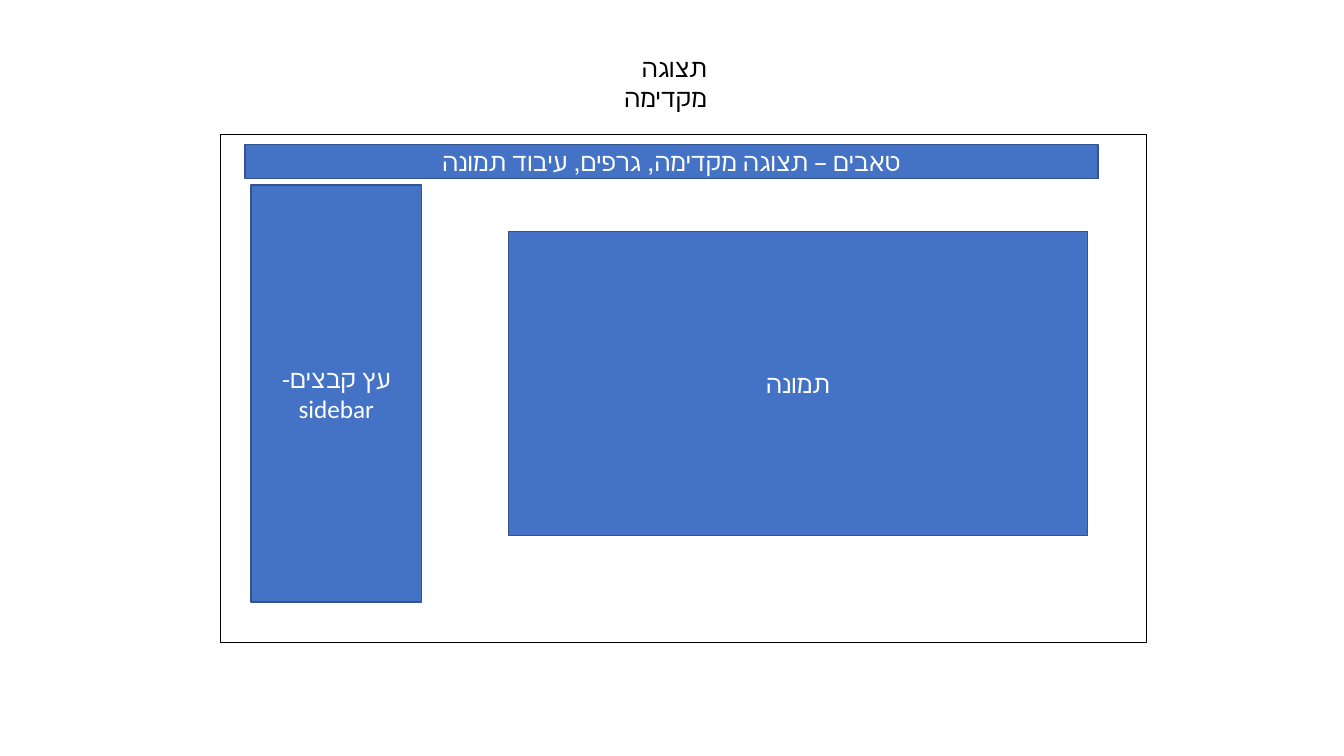
from pptx import Presentation
from pptx.dml.color import RGBColor as RGB
from pptx.enum.lang import MSO_LANGUAGE_ID as LANG
from pptx.enum.shapes import MSO_SHAPE as SHAPE
from pptx.enum.text import MSO_ANCHOR as ANCHOR, MSO_AUTO_SIZE as AUTO, PP_ALIGN as ALIGN
from pptx.util import Inches, Pt

COLORS = {"paper": "FFFFFF", "ink": "000000", "panel": "4472C4", "edge": "325491"}
FONT = "Calibri"

# Left, top, width and height in percent of the enclosing box
TITLE = (45.69, 6.27, 12.45, 9.33)
WINDOW = (16.43, 17.82, 68.87, 67.2)
PANELS = [
    ("תמונה", (31.05, 19.0, 62.6, 59.92)),
    ("עץ קבצים- sidebar", (3.27, 9.9, 18.41, 82.1)),
    ("טאבים – תצוגה מקדימה, גרפים, עיבוד תמונה", (2.61, 1.9, 92.16, 6.75)),
]


def color(name):
    """Return the named colour."""
    return RGB.from_string(COLORS[name])


def place(box, share):
    """Turn percentages of a box into a box of absolute lengths."""
    x, y, w, h = box
    left, top, width, height = (v / 100 for v in share)
    return (int(x + left * w), int(y + top * h), int(width * w), int(height * h))


def write(tf, text, ink="paper", size=18, align=ALIGN.CENTER, anchor=ANCHOR.MIDDLE):
    """Write one right-to-left paragraph into a text frame."""
    tf.word_wrap = True
    tf.vertical_anchor = anchor
    p = tf.paragraphs[0]
    p.alignment = align
    p.line_spacing = 1.0
    p._p.get_or_add_pPr().set("rtl", "1")
    r = p.add_run()
    r.text = text
    r.font.size = Pt(size)
    r.font.name = FONT
    r.font.language_id = LANG.HEBREW
    r.font.color.rgb = color(ink)


def add_rect(s, box, fill, line):
    """Add a flat, outlined rectangle."""
    sp = s.shapes.add_shape(SHAPE.RECTANGLE, *box)
    sp.shadow.inherit = False
    sp.fill.solid()
    sp.fill.fore_color.rgb = color(fill)
    sp.line.color.rgb = color(line)
    sp.line.width = Pt(1)
    return sp


def add_title(s, box):
    """Place the title, indented from the right so it breaks into two lines."""
    sp = s.shapes.title
    sp.left, sp.top, sp.width, sp.height = box
    tf = sp.text_frame
    tf.auto_size = AUTO.NONE
    tf.margin_right = Inches(0.74)
    write(tf, "תצוגה מקדימה", ink="ink", align=ALIGN.RIGHT, anchor=ANCHOR.TOP)


def add_window(s, box):
    """Draw the application window and its labelled panels."""
    add_rect(s, box, "paper", "ink")
    for text, share in PANELS:
        sp = add_rect(s, place(box, share), "panel", "edge")
        write(sp.text_frame, text)


def add_preview_slide(prs):
    """Build the slide that sketches the preview screen."""
    s = prs.slides.add_slide(prs.slide_layouts[5])
    page = (0, 0, prs.slide_width, prs.slide_height)
    add_title(s, place(page, TITLE))
    add_window(s, place(page, WINDOW))


prs = Presentation()
prs.slide_width, prs.slide_height = Inches(13.33), Inches(7.5)
add_preview_slide(prs)
prs.save("out.pptx")
